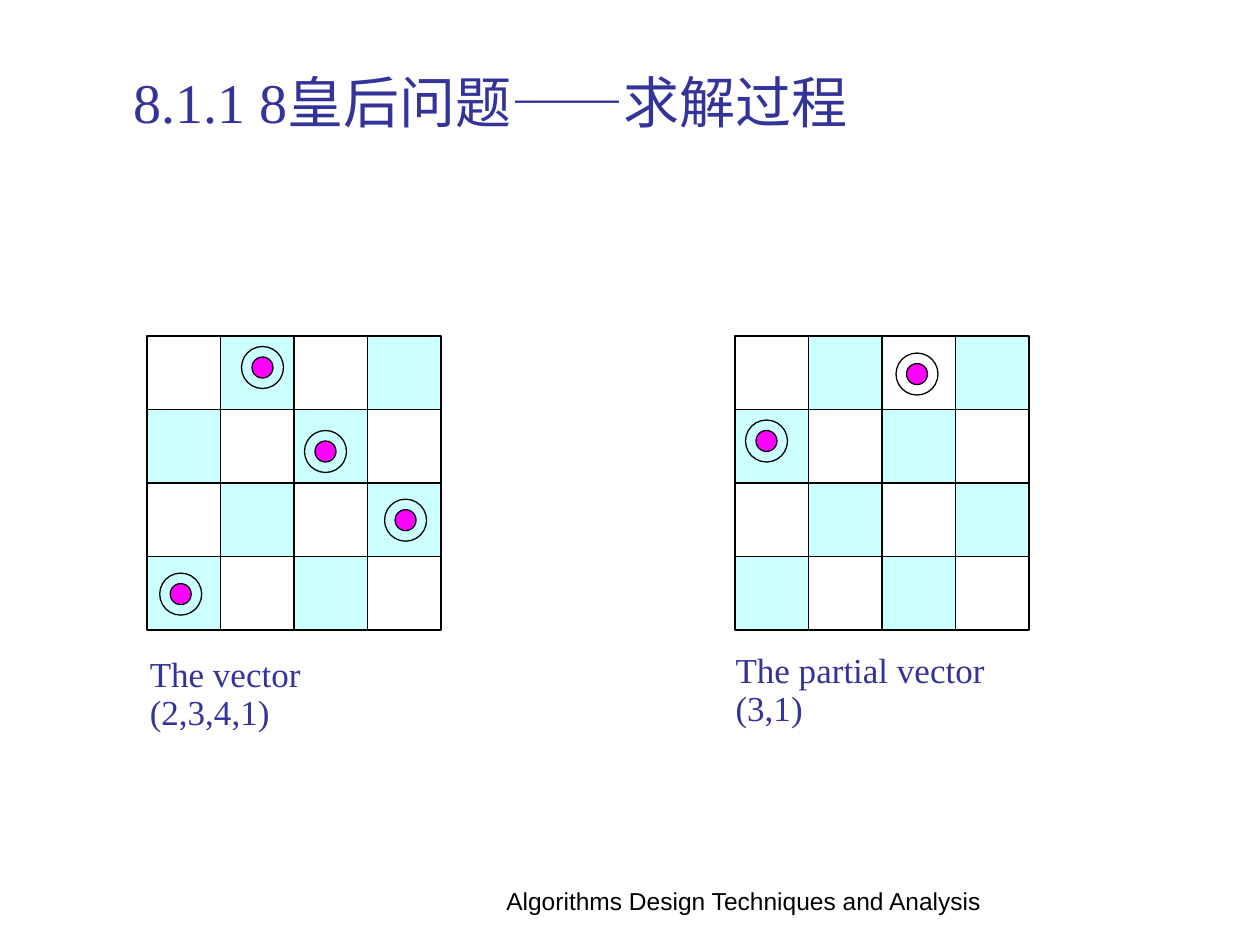
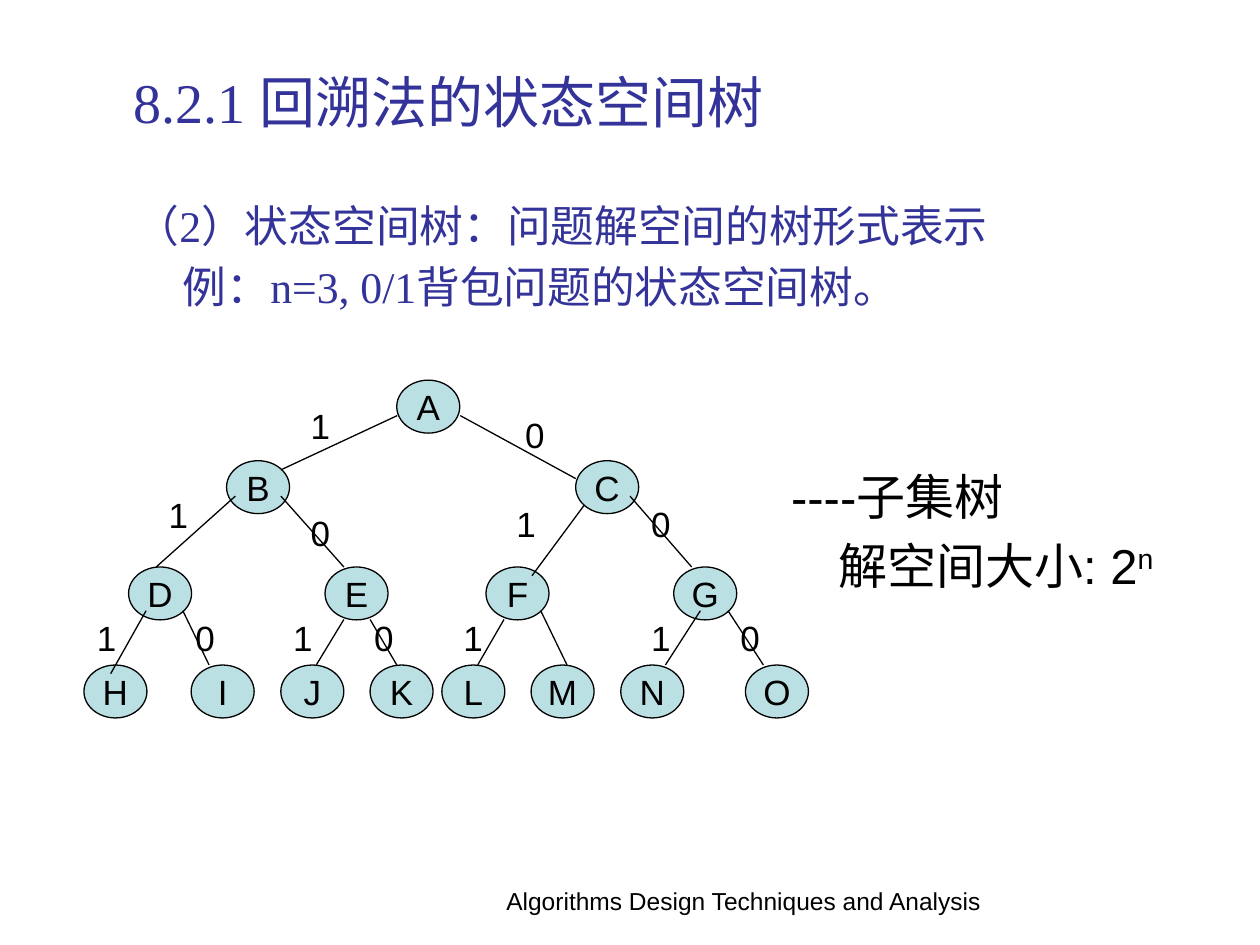
from dataclasses import dataclass
from itertools import product
from typing import NamedTuple

from lxml import etree
from pptx import Presentation
from pptx.dml.color import RGBColor
from pptx.enum.shapes import MSO_CONNECTOR, MSO_SHAPE
from pptx.enum.text import MSO_ANCHOR, PP_ALIGN
from pptx.oxml.ns import qn
from pptx.util import Pt

STRAIGHT = MSO_CONNECTOR.STRAIGHT
ELLIPSE, RECTANGLE = MSO_SHAPE.OVAL, MSO_SHAPE.RECTANGLE
MIDDLE, TOP = MSO_ANCHOR.MIDDLE, MSO_ANCHOR.TOP
LEFT, CENTER = PP_ALIGN.LEFT, PP_ALIGN.CENTER

BLACK = RGBColor(0x00, 0x00, 0x00)
INDIGO = RGBColor(0x33, 0x33, 0x99)
PALE_CYAN = RGBColor(0xCC, 0xFF, 0xFF)
MAGENTA = RGBColor(0xFF, 0x00, 0xFF)
NODE_TEAL = RGBColor(0xBB, 0xE0, 0xE3)
SERIF, SANS = "Times New Roman", "Arial"

LINE_WIDTH = 0.75
BOARD_SIZE, CELL = 4, 42
RING, DISC = 24, 12
NODE_WIDTH, NODE_HEIGHT = 36, 30.25
HANGING = 27


class Area(NamedTuple):
    """A rectangle in points."""

    left: float
    top: float
    width: float
    height: float


class Style(NamedTuple):
    """The look of a text."""

    font: str
    size: float
    color: RGBColor


class Line(NamedTuple):
    """A paragraph with its indents and an optional superscript."""

    text: str
    margin: float = 0
    indent: float = 0
    superscript: str = ""


@dataclass(frozen=True)
class Board:
    """A chessboard, the corners of its queens and its caption."""

    left: float
    top: float
    queens: tuple[tuple[float, float], ...]
    caption: str
    caption_area: Area


class Level(NamedTuple):
    """One level of the tree: names and left edges of its nodes."""

    top: float
    nodes: dict[str, float]


class Branch(NamedTuple):
    """A branch of the tree with its label and the label's corner."""

    start: tuple[float, float]
    end: tuple[float, float]
    label: str = ""
    corner: tuple[float, float] = (0, 0)


TITLE_STYLE = Style(SERIF, 32, INDIGO)
BODY_STYLE = Style(SERIF, 25, INDIGO)
CAPTION_STYLE = Style(SERIF, 20, INDIGO)
TREE_STYLE = Style(SANS, 20, BLACK)
REMARK_STYLE = Style(SANS, 28, BLACK)
FOOTER_STYLE = Style(SANS, 14, BLACK)

TITLE_AREA = Area(69, 21.75, 620, 72.5)
FOOTER_AREA = Area(275, 502.5, 300, 34)
FOOTER = "Algorithms Design Techniques and Analysis"

BOARDS = (
    Board(84, 192, ((138, 198), (174, 246), (219.75, 285.25), (91.25, 327.5)),
          "The vector (2,3,4,1)", Area(42.5, 372, 207, 50)),
    Board(420, 192, ((512, 201.75), (426, 240)),
          "The partial vector (3,1)", Area(377.25, 370, 233, 50)),
)

LEVELS = (
    Level(217.25, {"A": 226.75}),
    Level(263.25, {"B": 129.5, "C": 329}),
    Level(324, {"D": 73.5, "E": 185.75, "F": 277.75, "G": 385}),
    Level(380, {"H": 48, "I": 109.25, "J": 160.5, "K": 211.5,
                "L": 252.5, "M": 303.5, "N": 354.75, "O": 426}),
)

BRANCHES = (
    Branch((160.5, 268.5), (227, 237.5), "1", (170.5, 227.5)),
    Branch((263, 237.5), (329, 273.5), "0", (293, 232.5)),
    Branch((89.25, 324), (134.5, 283.5), "1", (89.25, 278.5)),
    Branch((160.5, 283.5), (196.5, 324), "0", (170.5, 288.75)),
    Branch((334, 288.5), (304, 329), "1", (288, 283.5)),
    Branch((360, 283.5), (395.25, 324), "0", (365, 283.5)),
    Branch((83.5, 349), (63.25, 385), "1", (48.25, 349)),
    Branch((104.5, 349), (119.5, 380), "0", (104.5, 349)),
    Branch((196.5, 354), (180.75, 380), "1", (160.5, 349)),
    Branch((211.5, 354), (226.75, 380), "0", (206.75, 349)),
    Branch((288, 354), (273, 380), "1", (257.75, 349)),
    Branch((309, 349), (324, 380)),
    Branch((400.25, 349), (380.25, 380), "1", (365, 349)),
    Branch((416, 349), (436.25, 380), "0", (416, 349)),
)


def style_paragraph(para, style: Style, align=LEFT) -> None:
    """Set the font and alignment of a paragraph."""
    para.alignment = align
    para.font.name = style.font
    para.font.size = Pt(style.size)
    para.font.color.rgb = style.color


def add_text(page, area: Area, lines: list[Line], style: Style,
             align=LEFT, anchor=TOP, line_spacing: float = 1.0) -> None:
    """Add a wrapped text box."""
    box = page.shapes.add_textbox(*map(Pt, area))
    frame = box.text_frame
    frame.word_wrap = True
    frame.vertical_anchor = anchor
    for number, line in enumerate(lines):
        para = frame.add_paragraph() if number else frame.paragraphs[0]
        properties = para._p.get_or_add_pPr()
        properties.set("marL", str(Pt(line.margin)))
        properties.set("indent", str(Pt(line.indent)))
        para.line_spacing = line_spacing
        if number:
            para.space_before = Pt(style.size * 0.2)
        style_paragraph(para, style, align)
        para.add_run().text = line.text
        if line.superscript:
            span = para.add_run()
            span.text = line.superscript
            span._r.get_or_add_rPr().set("baseline", "30000")


def add_outlined(page, kind, area: Area, fill: RGBColor | None = None):
    """Add a black-outlined preset shape, filled if a colour is given."""
    shape = page.shapes.add_shape(kind, *map(Pt, area))
    shape.shadow.inherit = False
    shape.line.color.rgb = BLACK
    shape.line.width = Pt(LINE_WIDTH)
    if fill is None:
        shape.fill.background()
    else:
        shape.fill.solid()
        shape.fill.fore_color.rgb = fill
    return shape


def add_page(deck, title: str):
    """Add a blank page with the shared title and footer."""
    page = deck.slides.add_slide(deck.slide_layouts[6])
    add_text(page, TITLE_AREA, [Line(title)], TITLE_STYLE, anchor=MIDDLE)
    add_text(page, FOOTER_AREA, [Line(FOOTER)], FOOTER_STYLE, CENTER)
    return page


def draw_board(page, board: Board) -> None:
    """Draw a chessboard with its queens and caption."""
    for row, column in product(range(BOARD_SIZE), repeat=2):
        cell = Area(board.left + column * CELL, board.top + row * CELL, CELL, CELL)
        add_outlined(page, RECTANGLE, cell, PALE_CYAN if (row + column) % 2 else None)
    inset = (RING - DISC) / 2
    for left, top in board.queens:
        add_outlined(page, ELLIPSE, Area(left + inset, top + inset, DISC, DISC), MAGENTA)
        add_outlined(page, ELLIPSE, Area(left, top, RING, RING))
    add_text(page, board.caption_area, [Line(board.caption, margin=36)],
             CAPTION_STYLE, line_spacing=0.9)


def draw_node(page, name: str, left: float, top: float) -> None:
    """Draw a named node of the tree."""
    node = add_outlined(page, ELLIPSE, Area(left, top, NODE_WIDTH, NODE_HEIGHT), NODE_TEAL)
    frame = node.text_frame
    frame.word_wrap = False
    frame.vertical_anchor = MIDDLE
    frame.margin_left = frame.margin_right = frame.margin_top = frame.margin_bottom = 0
    para = frame.paragraphs[0]
    para.text = name
    style_paragraph(para, TREE_STYLE, CENTER)


def draw_branch(page, branch: Branch) -> None:
    """Draw a branch of the tree and its label."""
    ends = map(Pt, branch.start + branch.end)
    connector = page.shapes.add_connector(STRAIGHT, *ends)
    connector.line.color.rgb = BLACK
    connector.line.width = Pt(LINE_WIDTH)
    etree.SubElement(connector._element.spPr, qn("a:effectLst"))
    if branch.label:
        add_text(page, Area(*branch.corner, 36, 31), [Line(branch.label)], TREE_STYLE)


def build_queens_page(deck) -> None:
    """Build the page with the two boards."""
    page = add_page(deck, "8.1.1 8皇后问题——求解过程")
    for board in BOARDS:
        draw_board(page, board)


def build_tree_page(deck) -> None:
    """Build the page with the state space tree."""
    page = add_page(deck, "8.2.1 回溯法的状态空间树")
    add_text(page, Area(70.5, 110, 629, 91), [
        Line("（2）状态空间树：问题解空间的树形式表示", HANGING, -HANGING),
        Line("例：n=3, 0/1背包问题的状态空间树。", HANGING),
    ], BODY_STYLE)
    for level in LEVELS:
        for name, left in level.nodes.items():
            draw_node(page, name, left, level.top)
    for branch in BRANCHES:
        draw_branch(page, branch)
    add_text(page, Area(445, 263, 255.5, 164), [
        Line("----子集树", HANGING, -HANGING),
        Line("解空间大小: 2", HANGING, superscript="n"),
    ], REMARK_STYLE)


def main() -> None:
    """Build and save the deck."""
    deck = Presentation()
    deck.slide_width, deck.slide_height = Pt(720), Pt(540)
    build_queens_page(deck)
    build_tree_page(deck)
    deck.save("out.pptx")


if __name__ == "__main__":
    main()
